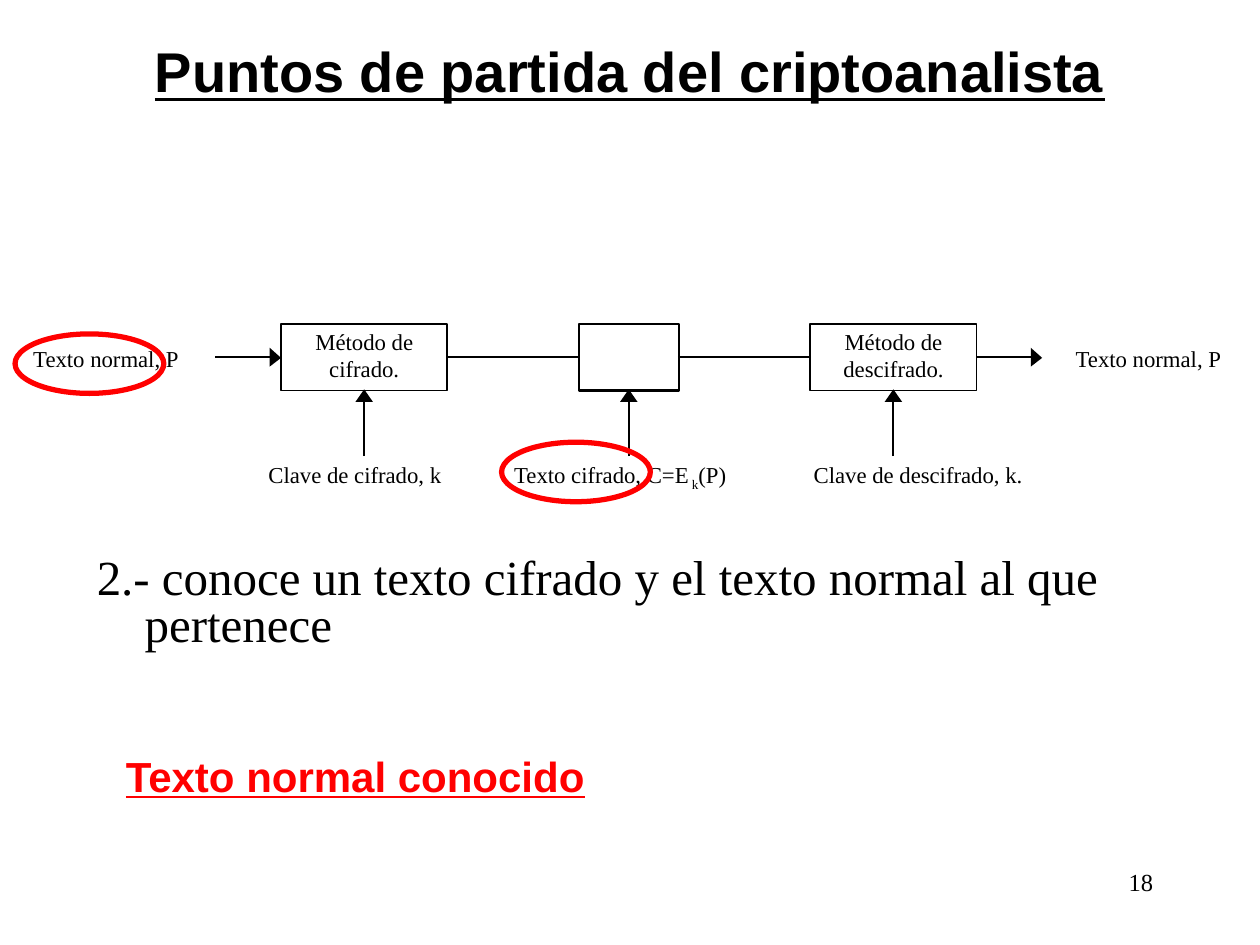
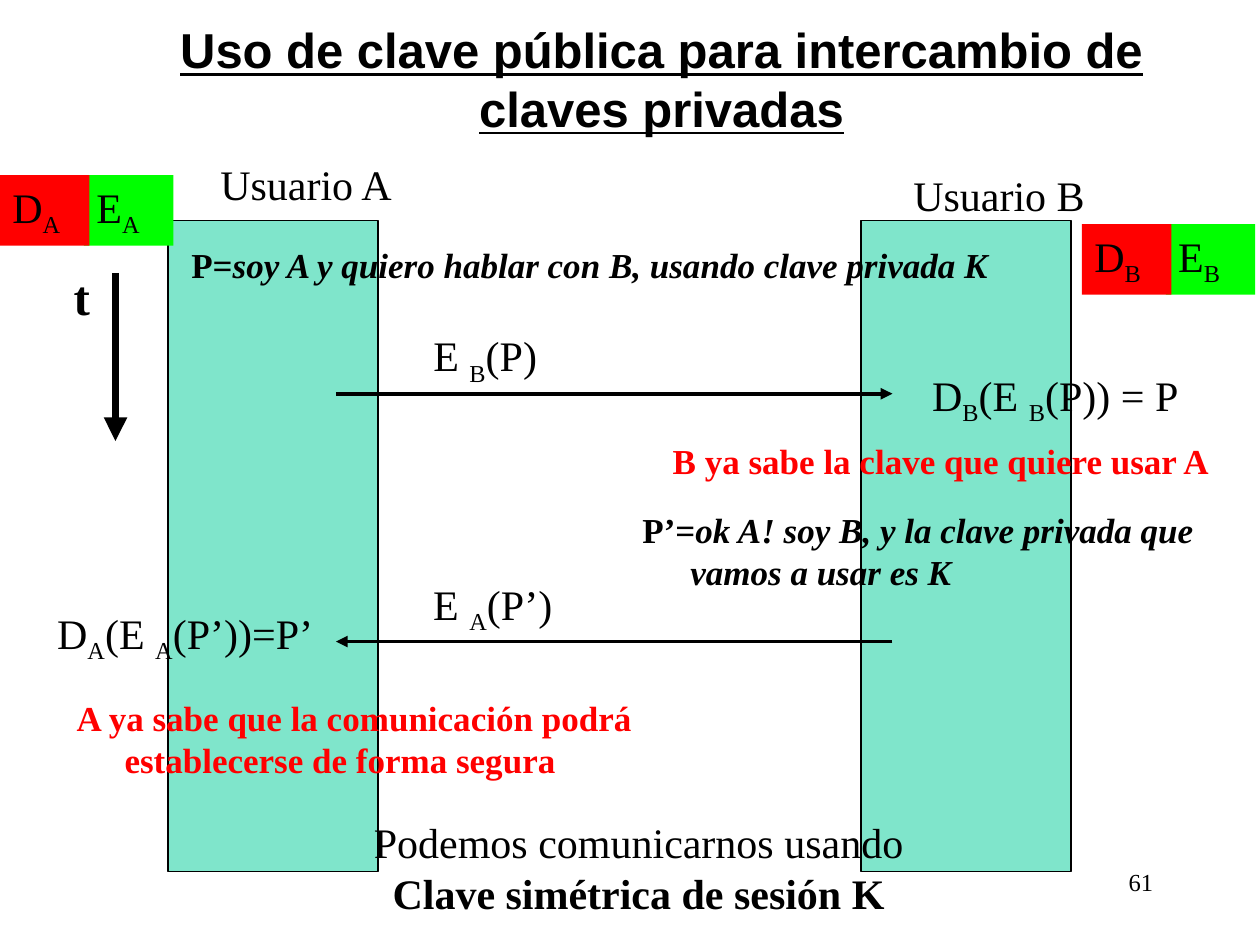
from pptx import Presentation
from pptx.dml.color import RGBColor
from pptx.enum.shapes import MSO_CONNECTOR as Connector, MSO_SHAPE as Preset
from pptx.enum.text import MSO_ANCHOR as Anchor, PP_ALIGN as Align
from pptx.oxml.ns import qn
from pptx.util import Pt
from lxml.etree import SubElement

COLORS = {"black": "000000", "white": "FFFFFF", "red": "FF0000",
          "green": "00FF00", "teal": "00CC99"}
BODY = {"name": "Times New Roman", "size": Pt(24), "bold": False, "italic": False}
TITLE = {"name": "Arial", "bold": True, "underline": True}
NOTE = {"size": Pt(20), "bold": True}
LABEL = {"size": Pt(13)}
HANGING = 27.36  # hanging indent of the body texts


def add_box(slide, box, paragraphs=(), font=None, color="black", preset=None, fill=None,
            line=None, weight=1, align=Align.LEFT, anchor=Anchor.TOP,
            insets=(7.2, 3.6), hanging=0, spacing=None):
    """Text box or preset shape; each paragraph lists (text, font values), _x_ is a subscript."""
    place = [Pt(value) for value in box]
    if preset is None:
        shape = slide.shapes.add_textbox(*place)
    else:
        shape = slide.shapes.add_shape(preset, *place)
        shape.shadow.inherit = False
        for part, paint in ((shape.fill, fill), (shape.line.fill, line)):
            if paint:
                part.solid()
                part.fore_color.rgb = RGBColor.from_string(COLORS[paint])
            else:
                part.background()
        if line:
            shape.line.width = Pt(weight)
    frame = shape.text_frame
    across, down = (Pt(inset) for inset in insets)
    frame_format = {"word_wrap": True, "vertical_anchor": anchor, "margin_left": across,
                    "margin_right": across, "margin_top": down, "margin_bottom": down}
    for name, value in frame_format.items():
        setattr(frame, name, value)
    for number, pieces in enumerate(paragraphs):
        paragraph = frame.add_paragraph() if number else frame.paragraphs[0]
        paragraph.alignment = align
        paragraph.line_spacing = spacing
        if hanging:
            properties = paragraph._p.get_or_add_pPr()
            properties.set("marL", str(int(Pt(hanging))))
            properties.set("indent", str(-int(Pt(hanging))))
        for text, own_font in pieces:
            for index, part in enumerate(text.split("_")):
                if not part:
                    continue
                run = paragraph.add_run()
                run.text = part
                for name, value in (BODY | (font or {}) | own_font).items():
                    setattr(run.font, name, value)
                run.font.color.rgb = RGBColor.from_string(COLORS[color])
                if index % 2:
                    run._r.get_or_add_rPr().set("baseline", "-25000")
    return shape


def add_line(slide, start, end, weight, arrow=False):
    connector = slide.shapes.add_connector(
        Connector.STRAIGHT, *(Pt(value) for value in (*start, *end)))
    connector.line.color.rgb = RGBColor.from_string(COLORS["black"])
    connector.line.width = Pt(weight)
    if arrow:
        SubElement(connector.line._get_or_add_ln(), qn("a:tailEnd"), type="triangle")
    SubElement(connector._element.spPr, qn("a:effectLst"))


presentation = Presentation()
presentation.slide_width, presentation.slide_height = Pt(720), Pt(540)

# Both slides: title and page number
slides = []
for title, box, size, page in (
        ("Puntos de partida del criptoanalista", (54, 3.6, 612, 73.44), 32, "18"),
        ("Uso de clave pública para intercambio de claves privadas", (72, 0, 612, 90), 28, "61")):
    slide = presentation.slides.add_slide(presentation.slide_layouts[6])
    add_box(slide, box, [[(title, {})]], TITLE | {"size": Pt(size)},
            align=Align.CENTER, anchor=Anchor.MIDDLE)
    add_box(slide, (516.24, 491.76, 149.76, 36), [[(page, {})]], {"size": Pt(14)},
            align=Align.RIGHT)
    slides.append(slide)
attack_slide, exchange_slide = slides

# Slide 1: boxes of the cipher chain, evenly spaced
FIRST_CENTER, STEP, BOX_TOP, BOX_HEIGHT = 208.1, 151.2, 185, 38.2
chain = ((95, ["Método de", "cifrado."], 1), (57, [], 1.25),
         (95, ["Método de", "descifrado."], 1))
centers = [FIRST_CENTER + STEP * index for index in range(len(chain))]
for center, (width, lines, weight) in zip(centers, chain):
    add_box(attack_slide, (center - width / 2, BOX_TOP, width, BOX_HEIGHT),
            [[(text, {})] for text in lines], LABEL, preset=Preset.RECTANGLE, fill="white",
            line="black", weight=weight, align=Align.CENTER, insets=(0, 2.2))

# Links between the boxes
AXIS = 204
for left, right in ((255.4, 330.5), (387.4, 463)):
    add_line(attack_slide, (left, AXIS), (right, AXIS), 1.25)

# Arrows in and out of the chain, and up from the keys
arrows = [((x, AXIS), (x + 31, AXIS), [(x + 31, 209.5), (x + 37.5, 204.5), (x + 31, 198.7)])
          for x in (123.1, 558)]
arrows += [((x, 260.6), (x, 229), [(x + 5, 229.7), (x, 222.5), (x - 5, 229.7)])
           for x in centers]
for start, end, head in arrows:
    add_line(attack_slide, start, end, 1)
    points = [(Pt(x), Pt(y)) for x, y in head]
    builder = attack_slide.shapes.build_freeform(*points[0], scale=1.0)
    builder.add_line_segments(points[1:], close=True)
    triangle = builder.convert_to_shape()
    triangle.shadow.inherit = False
    triangle.fill.solid()
    triangle.fill.fore_color.rgb = RGBColor.from_string(COLORS["black"])
    triangle.line.fill.background()

# Labels of the chain
for text, left, top, width in (
        ("Texto normal, P", 19, 197.3, 95), ("Texto normal, P", 614.7, 197.3, 95),
        ("Clave de cifrado, k", 153.4, 263.2, 110),
        ("Texto cifrado, C=E_ k_(P)", 293.8, 263.2, 135),
        ("Clave de descifrado, k.", 465, 263.2, 130)):
    add_box(attack_slide, (left, top, width, 16), [[(text, {})]], LABEL, insets=(0, 0))

# What the analyst knows
for left, top in ((286.6, 252.7), (8.6, 190.8)):
    add_box(attack_slide, (left, top, 85, 34), preset=Preset.OVAL, line="red", weight=3)
add_box(attack_slide, (48.24, 315.36, 612, 62.64),
        [[("2.- conoce un texto cifrado y el texto normal al que pertenece", {})]],
        {"size": Pt(28)}, hanging=HANGING, spacing=0.8)
add_box(attack_slide, (64.8, 428.4, 612, 56.88), [[("Texto normal conocido", {})]],
        TITLE, "red", hanging=HANGING, spacing=0.9)

# Slide 2: one column per user
for left in (96, 492):
    column = add_box(exchange_slide, (left, 126, 120, 372), preset=Preset.RECTANGLE,
                     fill="teal", line="black", weight=0.75)
    tint = column._element.spPr.find(qn("a:solidFill")).find(qn("a:srgbClr"))
    SubElement(tint, qn("a:alpha"), val="50000")

# Time axis and messages
add_line(exchange_slide, (66, 156), (66, 252), 4.5, arrow=True)
add_line(exchange_slide, (192, 225), (510, 225), 2.25, arrow=True)
add_line(exchange_slide, (510, 366.6), (192, 366.6), 2.25, arrow=True)

# User names and formulas, each on one line
for text, left, top, width, font in (
        ("Usuario A", 118.8, 87.1, 125, {}), ("Usuario B", 514.8, 93.4, 125, {}),
        ("E _B_(P)", 240.5, 185, 90, {}), ("D_B_(E _B_(P)) = P", 525.6, 207.4, 175, {}),
        ("E _A_(P’)", 240.5, 326.9, 100, {}), ("D_A_(E _A_(P’))=P’", 25.6, 343.4, 175, {}),
        ("t", 35, 149, 30, {"size": Pt(28), "bold": True})):
    add_box(exchange_slide, (left, top, width, 40), [[(text, font)]])

# Message contents and conclusions
ITALIC = {"italic": True}
for box, pieces, color, spacing in (
        ((102.24, 138.24, 484.56, 35.28),
         [("P=", {}), ("soy A y quiero hablar con B, usando clave privada K", ITALIC)],
         "black", 0.9),
        ((360, 287.28, 342, 54),
         [("P’=", {}), ("ok A! soy B, y la clave privada que vamos a usar es K", ITALIC)],
         "black", None),
        ((377.28, 247.68, 342, 33.84),
         [("B ya sabe la clave que quiere usar A", {})], "red", None),
        ((36.72, 394.56, 342, 54),
         [("A ya sabe que la comunicación podrá establecerse de forma segura", {})],
         "red", None)):
    add_box(exchange_slide, box, [pieces], NOTE, color, hanging=HANGING, spacing=spacing)
add_box(exchange_slide, (195, 463.2, 340, 64.8),
        [[("Podemos comunicarnos usando", {})],
         [("Clave simétrica de sesión K", {"bold": True})]], align=Align.CENTER)

# Key pair of each user
for user, left, top in (("A", 0, 100.08), ("B", 618.2, 128.16)):
    for key, offset, fill in (("E", 48, "green"), ("D", 0, "red")):
        add_box(exchange_slide, (left + offset, top, 51.12, 40.32), [[(f"{key}_{user}_", {})]],
                preset=Preset.RECTANGLE, fill=fill)

presentation.save("out.pptx")
